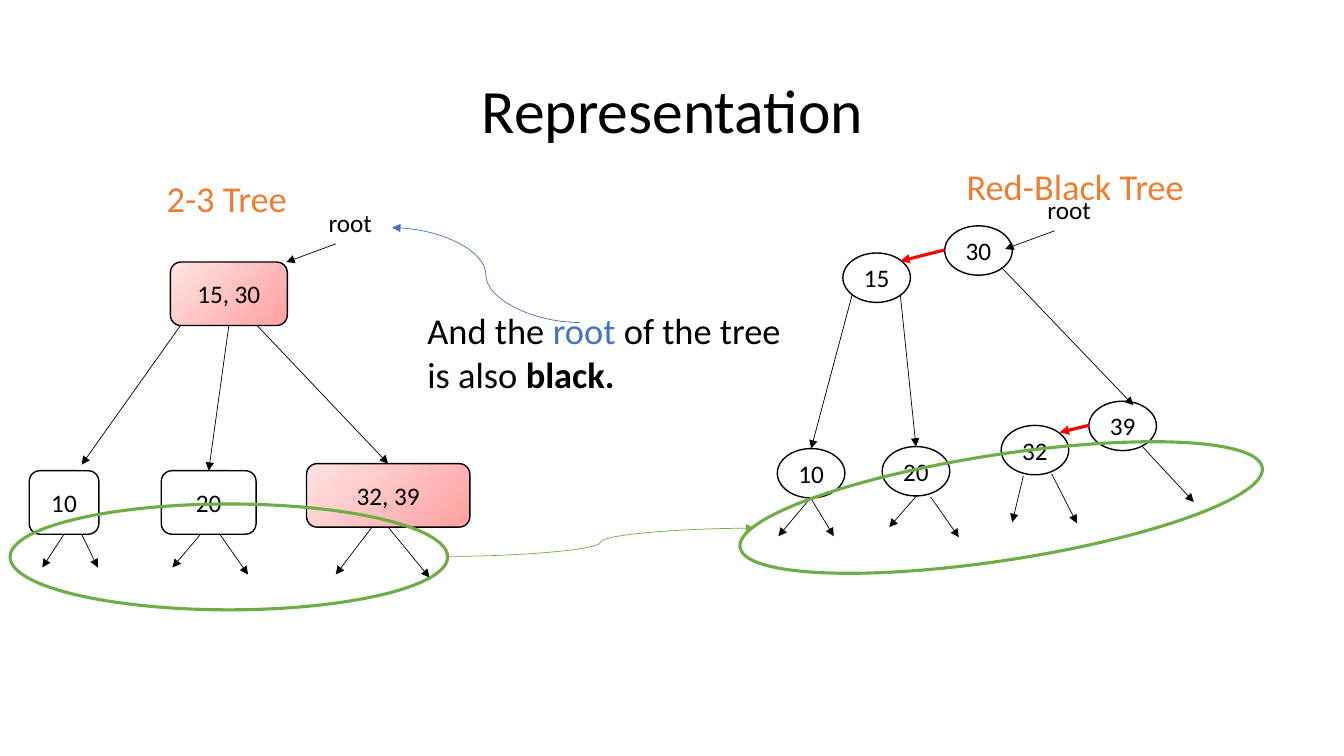
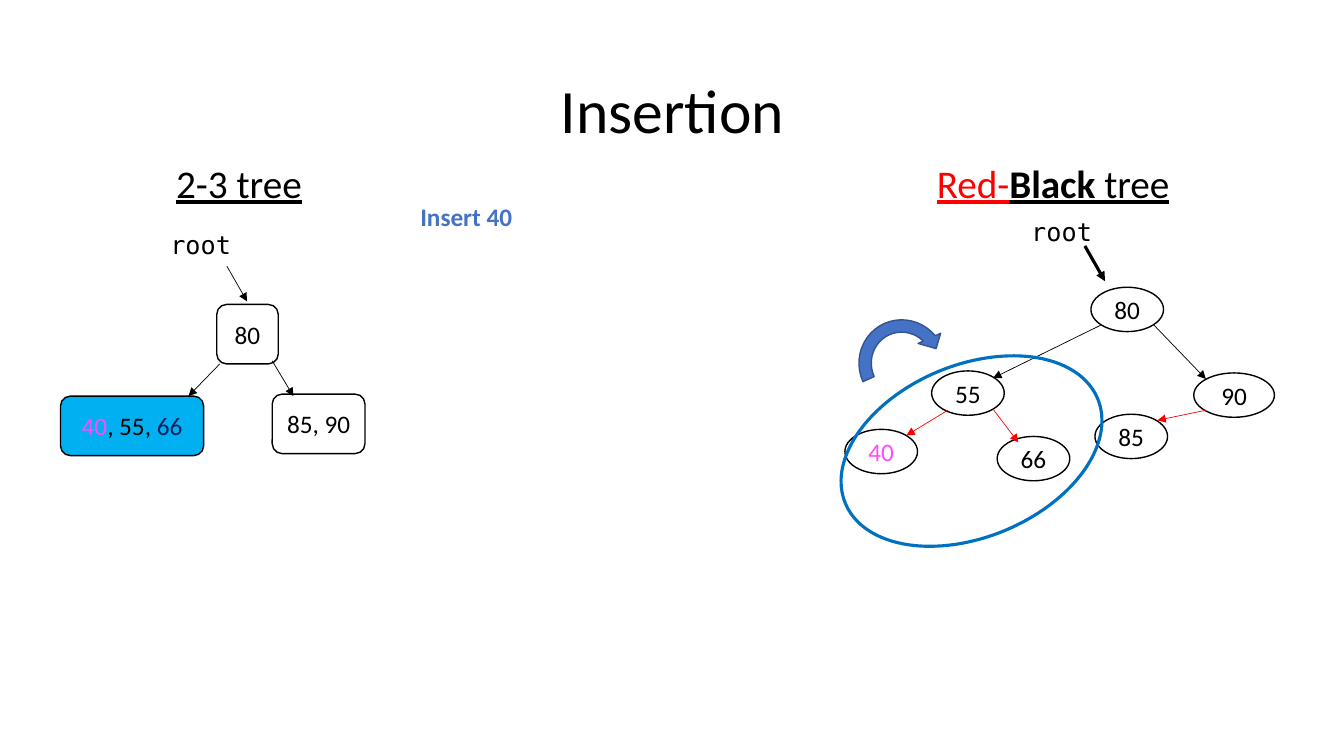
from dataclasses import dataclass

from lxml import etree
from pptx import Presentation
from pptx import util as u
from pptx.dml.color import RGBColor
from pptx.enum import shapes, text
from pptx.oxml import ns

SHAPE = shapes.MSO_SHAPE
LINE = shapes.MSO_CONNECTOR
MID = text.PP_ALIGN.CENTER
LEFT = text.PP_ALIGN.LEFT


@dataclass(frozen=True)
class Theme:
    font: str = "Calibri"
    mono: str = "DejaVu Sans Mono"
    black: str = "000000"
    red: str = "FF0000"
    orange: str = "ED7D31"
    blue: str = "4472C4"
    edge: str = "325491"
    ring: str = "0070C0"
    sky: str = "00B0F0"
    navy: str = "002060"
    pink: str = "FF4CFB"
    green: str = "70AD47"
    blush: tuple = ("FFA0A0", "FFE3E3")
    title: int = 44
    head: int = 28
    large: int = 26
    body: int = 18
    thin: float = 0.5
    rim: float = 1
    bold: float = 2.25


T = Theme()


def px(n):
    return u.Emu(n * 9144)


def rgb(code):
    return RGBColor.from_string(code)


def put(frame, runs, size=T.body, color=T.black, font=T.font, align=LEFT,
        bold=False, line=False):
    para = frame.paragraphs[0]
    para.alignment = align
    for item in [runs] if isinstance(runs, str) else runs:
        words, own = (item, {}) if isinstance(item, str) else item
        run = para.add_run()
        run.text = words
        run.font.name = font
        run.font.size = u.Pt(size)
        run.font.bold = own.get("bold", bold)
        run.font.underline = line
        run.font.color.rgb = rgb(own.get("color", color))
    return para


def page(deck, name):
    slide = deck.slides.add_slide(deck.slide_layouts[5])
    title = slide.shapes.title
    title.left, title.top, title.width, title.height = map(px, (92, 40, 1150, 145))
    title.text_frame.vertical_anchor = text.MSO_ANCHOR.MIDDLE
    put(title.text_frame, name, size=T.title, align=MID).line_spacing = 0.9
    return slide


def label(slide, box, runs, **form):
    frame = slide.shapes.add_textbox(*map(px, box)).text_frame
    frame.word_wrap = True
    frame.auto_size = text.MSO_AUTO_SIZE.SHAPE_TO_FIT_TEXT
    put(frame, runs, **form)


def form(slide, kind, box, fill=None, edge=T.black, width=T.rim, turn=0):
    shape = slide.shapes.add_shape(kind, *map(px, box))
    shape.shadow.inherit = False
    shape.rotation = turn
    shape.line.color.rgb = rgb(edge)
    shape.line.width = u.Pt(width)
    if fill is None:
        shape.fill.background()
    elif isinstance(fill, tuple):
        shape.fill.gradient()
        shape.fill.gradient_angle = 135
        for stop, code in zip(shape.fill.gradient_stops, fill):
            stop.color.rgb = rgb(code)
    else:
        shape.fill.solid()
        shape.fill.fore_color.rgb = rgb(fill)
    return shape


def node(slide, kind, box, runs, fill=None, **style):
    shape = form(slide, kind, box, fill)
    frame = shape.text_frame
    frame.word_wrap = False
    frame.vertical_anchor = text.MSO_ANCHOR.MIDDLE
    frame.margin_left = frame.margin_right = 0
    frame.margin_top = frame.margin_bottom = 0
    put(frame, runs, align=MID, **style)
    return shape


def link(slide, ends, color=T.black, width=T.thin, kind=LINE.STRAIGHT,
         start=None, stop=None):
    wire = slide.shapes.add_connector(kind, *map(px, ends))
    if start is not None:
        wire.begin_connect(start, 2)
    if stop is not None:
        wire.end_connect(stop, 0)
    wire.line.color.rgb = rgb(color)
    wire.line.width = u.Pt(width)
    tip = etree.SubElement(wire.line._get_or_add_ln(), ns.qn("a:tailEnd"))
    tip.set("type", "triangle")
    etree.SubElement(wire._element.spPr, ns.qn("a:effectLst"))


def links(slide, rows, **style):
    for ends in rows:
        link(slide, ends, **style)


def model(deck):
    slide = page(deck, "Representation")
    label(slide, (146, 170, 158, 54), "2-3 Tree", size=T.large, color=T.orange, align=MID)
    label(slide, (937, 158, 259, 54), "Red-Black Tree", size=T.large, color=T.orange,
          align=MID)

    box = SHAPE.ROUNDED_RECTANGLE
    top = node(slide, box, (169, 260, 116, 63), "15, 30", T.blush)
    ten = node(slide, box, (29, 467, 69, 63), "10")
    mid = node(slide, box, (160, 467, 94, 63), "20")
    last = node(slide, box, (304, 460, 162, 63), "32, 39", T.blush)
    link(slide, (226, 323, 207, 467), start=top, stop=mid)
    link(slide, (255, 323, 385, 460), stop=last)
    link(slide, (63, 530, 42, 563), start=ten)
    link(slide, (385, 523, 426, 573), start=last)

    oval = {}
    for key, x, y in (("10", 771, 445), ("20", 875, 443), ("32", 993, 422),
                      ("39", 1080, 398), ("30", 937, 224), ("15", 836, 251)):
        oval[key] = node(slide, SHAPE.OVAL, (x, y, 67, 49), key)
    link(slide, (845, 293, 804, 445), stop=oval["10"])
    link(slide, (893, 293, 909, 443), stop=oval["20"])
    links(slide, ((1080, 422, 1051, 429), (937, 248, 893, 259)),
          color=T.red, width=T.bold)

    links(slide, (
        (179, 323, 81, 461), (81, 530, 97, 563),
        (218, 530, 246, 570), (199, 530, 171, 563), (369, 523, 333, 570),
        (993, 265, 1124, 402),
        (804, 494, 772, 532), (804, 494, 827, 532),
        (923, 493, 951, 533), (909, 492, 882, 523),
        (1043, 470, 1068, 519), (1015, 472, 1004, 518), (1133, 443, 1184, 498)))

    for x, y in ((316, 201), (1029, 188)):
        label(slide, (x, y, 92, 40), "root")
        link(slide, (x + 17, y + 41, x - 32, y + 59))

    label(slide, (414, 301, 386, 98),
          ["And the ", ("root", {"color": T.blue}), " of the tree is also ",
           ("black.", {"bold": True})], size=T.large)
    for area, turn in (((10, 500, 434, 105), 0), ((731, 451, 524, 105), 351.3)):
        form(slide, SHAPE.OVAL, area, edge=T.green, width=T.bold, turn=turn)
    link(slide, (443, 552, 748, 524), color=T.green, kind=LINE.CURVE)
    link(slide, (575, 320, 389, 226), color=T.blue, kind=LINE.CURVE)


def insert(deck):
    slide = page(deck, "Insertion")
    label(slide, (129, 153, 216, 57), "2-3 tree", size=T.head, align=MID, line=True)
    label(slide, (910, 153, 269, 57),
          [("Red-", {"color": T.red}), ("Black", {"bold": True}), " tree"],
          size=T.head, align=MID, line=True)
    label(slide, (407, 195, 338, 40), "Insert 40", color=T.blue, bold=True)
    for area in ((159, 223, 131, 40), (1013, 210, 93, 40)):
        label(slide, area, "root", font=T.mono)

    box = SHAPE.ROUNDED_RECTANGLE
    node(slide, box, (60, 393, 142, 59),
         [("40", {"color": T.pink}), ", 55, ", ("66", {"color": T.navy})], T.sky)
    node(slide, box, (270, 391, 92, 59), "85, 90")
    node(slide, box, (215, 302, 61, 59), "80")

    for key, x, y, wide, color in (
            ("66", 989, 433, 72, T.black), ("80", 1082, 285, 72, T.black),
            ("90", 1184, 370, 80, T.black), ("85", 1086, 411, 72, T.black),
            ("55", 924, 368, 72, T.black), ("40", 838, 426, 72, T.pink)):
        node(slide, SHAPE.OVAL, (x, y, wide, 44), key, color=color)

    links(slide, ((225, 264, 245, 299), (270, 358, 291, 393), (218, 361, 187, 393),
                  (1093, 322, 985, 375), (1144, 322, 1196, 376)))
    links(slide, ((1196, 407, 1148, 417), (985, 406, 1010, 439), (940, 407, 899, 432)),
          color=T.red)
    link(slide, (1076, 244, 1096, 279), width=T.bold)
    form(slide, SHAPE.OVAL, (878, 312, 171, 271), edge=T.ring, width=T.bold, turn=67.5)
    form(slide, SHAPE.CIRCULAR_ARROW, (846, 311, 98, 100), T.blue, T.edge, turn=335.7)


def main():
    deck = Presentation()
    deck.slide_width, deck.slide_height = px(1333), px(750)
    model(deck)
    insert(deck)
    deck.save("out.pptx")


if __name__ == "__main__":
    main()
